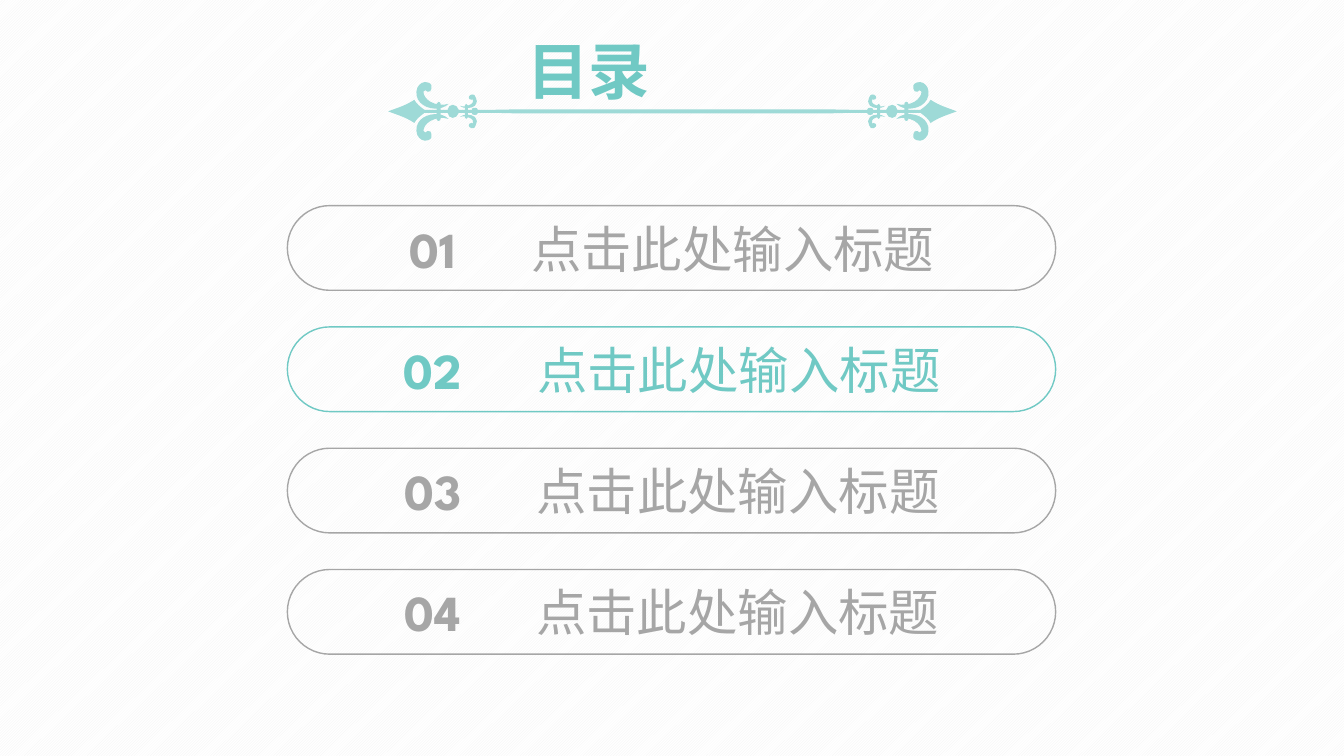
from dataclasses import dataclass

from lxml.etree import SubElement
from pptx import Presentation
from pptx.dml.color import RGBColor
from pptx.enum.dml import MSO_PATTERN
from pptx.enum.shapes import MSO_SHAPE as Shape
from pptx.enum.text import MSO_ANCHOR as Anchor, MSO_AUTO_SIZE as AutoSize, PP_ALIGN as Align
from pptx.oxml.ns import qn
from pptx.shapes.group import GroupShape
from pptx.slide import Slide
from pptx.util import Inches, Pt

Point = tuple[float, float]
Outline = list[Point]


@dataclass(frozen=True)
class Theme:
    accent: RGBColor = RGBColor.from_string("70C9C4")
    ornament: RGBColor = RGBColor.from_string("9EDAD7")
    muted: RGBColor = RGBColor.from_string("A6A6A6")
    stripe: RGBColor = RGBColor.from_string("F2F2F2")
    paper: RGBColor = RGBColor.from_string("FFFFFF")
    text_font: str = "Calibri"
    number_font: str = "League Spartan"
    title_size: Pt = Pt(44)
    entry_size: Pt = Pt(36)
    number_gap: Pt = Pt(44)


@dataclass(frozen=True)
class Entry:
    number: str
    title: str
    active: bool = False


@dataclass(frozen=True)
class Bar:
    left: float
    top: float
    width: float


THEME = Theme()
ENTRIES = [
    Entry("01", "点击此处输入标题"),
    Entry("02", "点击此处输入标题", active=True),
    Entry("03", "点击此处输入标题"),
    Entry("04", "点击此处输入标题"),
]
FIRST_TOP, LAST_TOP = 2.04, 5.65

# The ornament is symmetric about both axes; only its top left part is listed.
# After the start, each curve holds two control points and an end point.
AXIS_X, AXIS_Y = 6.67, 1.105
SPINE = [
    (3.85, 1.105), (3.94, 1.07), (4.02, 1.05), (4.11, 0.99),
    (4.13, 1.03), (4.17, 1.06), (4.21, 1.09),
    (4.26, 1.09), (4.38, 1.09), (4.44, 1.09),
    (4.44, 1.06), (4.47, 1.04), (4.49, 1.04),
    (4.52, 1.04), (4.54, 1.06), (4.55, 1.09),
    (4.59, 1.09), (4.64, 1.09), (4.68, 1.09),
    (4.68, 1.07), (4.69, 1.07), (4.71, 1.07),
    (4.72, 1.07), (4.74, 1.07), (4.74, 1.09),
    (4.86, 1.09), (4.98, 1.09), (5.1, 1.085),
]
LARGE_CURL = [
    (4.24, 0.91), (4.23, 0.89), (4.21, 0.89), (4.2, 0.91),
    (4.2, 0.94), (4.22, 0.98), (4.27, 1.01),
    (4.33, 1.04), (4.38, 1.05), (4.45, 1.03),
    (4.38, 1.1), (4.24, 1.09), (4.17, 1.02),
    (4.13, 0.98), (4.12, 0.92), (4.14, 0.87),
    (4.16, 0.83), (4.2, 0.8), (4.25, 0.82),
    (4.28, 0.83), (4.29, 0.86), (4.28, 0.88),
    (4.28, 0.9), (4.26, 0.92), (4.24, 0.91),
]
SMALL_CURL = [
    (4.68, 0.99), (4.68, 0.98), (4.69, 0.98), (4.69, 0.99),
    (4.7, 1.0), (4.69, 1.03), (4.66, 1.04),
    (4.63, 1.06), (4.6, 1.06), (4.56, 1.05),
    (4.6, 1.08), (4.67, 1.08), (4.71, 1.05),
    (4.73, 1.02), (4.74, 0.99), (4.72, 0.97),
    (4.72, 0.95), (4.7, 0.93), (4.67, 0.94),
    (4.65, 0.95), (4.65, 0.96), (4.65, 0.97),
    (4.65, 0.98), (4.66, 0.99), (4.68, 0.99),
]
BARS = [Bar(4.33, 1.01, 0.04), Bar(4.61, 1.03, 0.03)]


def flip_x(points: Outline, axis: float = AXIS_X) -> Outline:
    return [(2 * axis - x, y) for x, y in points]


def flip_y(points: Outline) -> Outline:
    return [(x, 2 * AXIS_Y - y) for x, y in points]


def complete(quarter: Outline, axis: float) -> Outline:
    """Mirror a top left quarter, which starts on the horizontal axis, into a closed outline."""
    right = flip_x(quarter, axis)[::-1]
    top = quarter + [quarter[-1], right[0]] + right
    return top + flip_y(top)[-2::-1]


def bar_outline(bar: Bar) -> Outline:
    r = bar.width / 2
    x, y = bar.left, bar.top
    quarter = [(x, AXIS_Y), (x, AXIS_Y), (x, y + r), (x, y + r),
               (x, y + r / 2), (x + r / 2, y), (x + r, y)]
    return complete(quarter, x + r)


def draw_curves(group: GroupShape, outlines: list[Outline]) -> None:
    """Draw closed chains of cubic curves, in inches, as one shape."""
    first, *others = [[(Inches(x), Inches(y)) for x, y in o] for o in outlines]
    builder = group.shapes.build_freeform(*first[0])
    builder.add_line_segments(first[1:])
    for outline in others:
        builder.move_to(*outline[0])
        builder.add_line_segments(outline[1:])
    sp = builder.convert_to_shape()

    segments = list(sp._element.iter(qn("a:lnTo")))
    for i in range(0, len(segments), 3):
        curve = SubElement(segments[i].getparent(), qn("a:cubicBezTo"))
        segments[i].addprevious(curve)
        for segment in segments[i:i + 3]:
            curve.append(segment[0])
            segment.getparent().remove(segment)

    sp.shadow.inherit = False
    sp.fill.solid()
    sp.fill.fore_color.rgb = THEME.ornament
    sp.line.fill.background()


def draw_ornament(s: Slide) -> None:
    group = s.shapes.add_group_shape()
    draw_curves(group, [complete(SPINE, AXIS_X)])
    for curl in (LARGE_CURL, SMALL_CURL):
        for side in (curl, flip_x(curl)):
            draw_curves(group, [side, flip_y(side)])
    for outline in map(bar_outline, BARS):
        for side in (outline, flip_x(outline)):
            draw_curves(group, [side])


def draw_title(s: Slide, text: str) -> None:
    sp = s.shapes.title
    sp.left, sp.top, sp.width, sp.height = map(Inches, (5.13, 0.28, 3.08, 0.84))
    tf = sp.text_frame
    tf.text = text
    tf.vertical_anchor = Anchor.TOP
    tf.auto_size = AutoSize.SHAPE_TO_FIT_TEXT
    p = tf.paragraphs[0]
    p.alignment = Align.JUSTIFY
    p.font.name, p.font.size, p.font.bold = THEME.text_font, THEME.title_size, True
    p.font.color.rgb = THEME.accent


def draw_entry(s: Slide, entry: Entry, top: float) -> None:
    color = THEME.accent if entry.active else THEME.muted
    group = s.shapes.add_group_shape()
    pill = group.shapes.add_shape(Shape.ROUNDED_RECTANGLE, Inches(2.85), Inches(top),
                                  Inches(7.62), Inches(0.84))
    pill.adjustments[0] = 0.5
    pill.shadow.inherit = False
    pill.fill.background()
    pill.line.color.rgb, pill.line.width = color, Pt(1)

    box = group.shapes.add_textbox(Inches(3.02), Inches(top + 0.07), Inches(7.29), Inches(0.71))
    tf = box.text_frame
    tf.word_wrap = True
    tf.auto_size = AutoSize.SHAPE_TO_FIT_TEXT
    p = tf.paragraphs[0]
    p.alignment = Align.CENTER
    p.font.size, p.font.color.rgb = THEME.entry_size, color
    number, gap, title = (p.add_run() for _ in range(3))
    number.text, gap.text, title.text = entry.number, " ", entry.title
    for r in (number, gap):
        r.font.name, r.font.bold = THEME.number_font, True
    title.font.name, title.font.bold = THEME.text_font, False
    # Letter spacing, in hundredths of a point, widens the single space.
    gap._r.get_or_add_rPr().set("spc", str(int(THEME.number_gap.pt * 100)))


def main() -> None:
    prs = Presentation()
    prs.slide_width, prs.slide_height = Inches(13.33), Inches(7.5)
    s = prs.slides.add_slide(prs.slide_layouts[5])
    fill = s.background.fill
    fill.patterned()
    fill.pattern = MSO_PATTERN.DARK_UPWARD_DIAGONAL
    fill.fore_color.rgb, fill.back_color.rgb = THEME.stripe, THEME.paper
    draw_title(s, "目录")
    draw_ornament(s)
    pitch = (LAST_TOP - FIRST_TOP) / (len(ENTRIES) - 1)
    for i, entry in enumerate(ENTRIES):
        draw_entry(s, entry, FIRST_TOP + i * pitch)
    prs.save("out.pptx")


if __name__ == "__main__":
    main()
